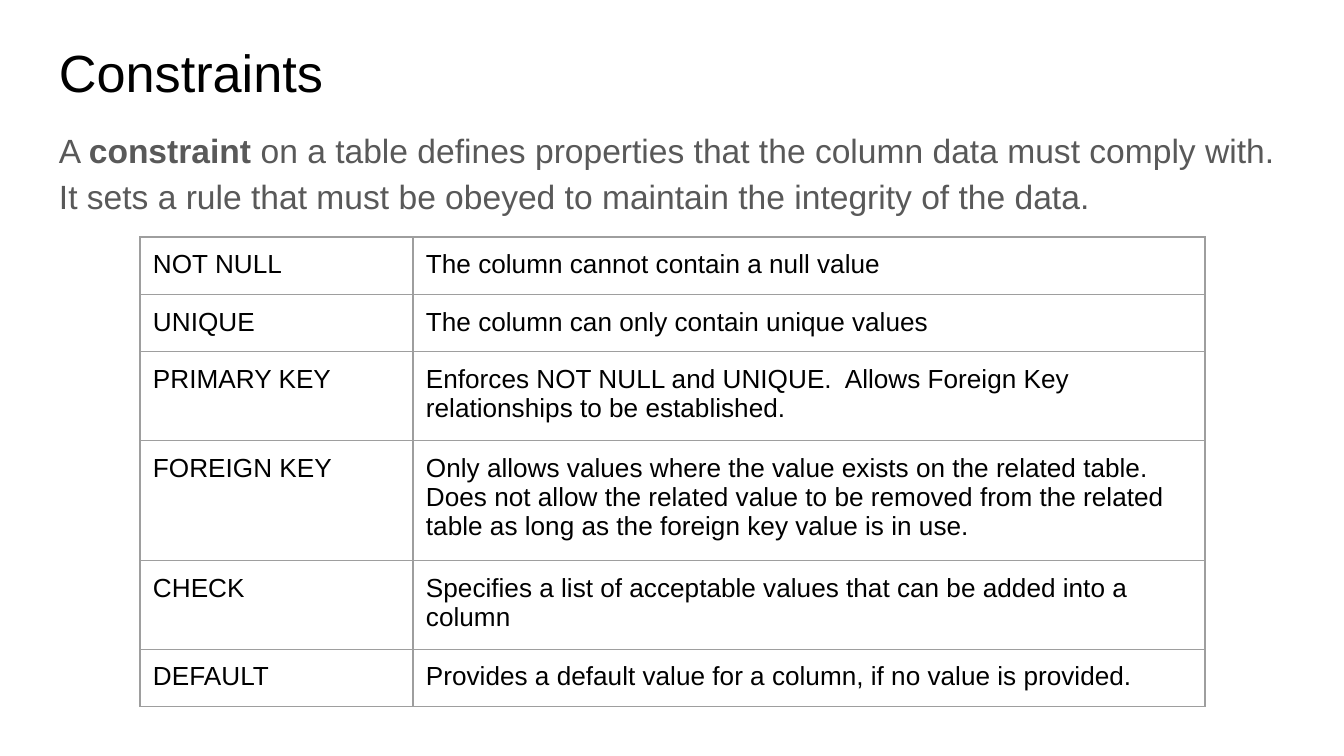
from lxml import etree
from pptx import Presentation
from pptx.dml.color import RGBColor
from pptx.oxml.ns import qn
from pptx.util import Emu, Pt

PX = 914400 / 134.4
PAD = 13
FONT = "Arial"
BLACK = "000000"
GREY = "595959"
RULE = "9E9E9E"
COLS = (273, 792)
ROW = 56
ROWS = [
    ("NOT NULL", "The column cannot contain a null value"),
    ("UNIQUE", "The column can only contain unique values"),
    ("PRIMARY KEY", "Enforces NOT NULL and UNIQUE.  Allows Foreign Key "
     "relationships to be established."),
    ("FOREIGN KEY", "Only allows values where the value exists on the related "
     "table.  Does not allow the related value to be removed from the related "
     "table as long as the foreign key value is in use."),
    ("CHECK", "Specifies a list of acceptable values that can be added into a column"),
    ("DEFAULT", "Provides a default value for a column, if no value is provided."),
]


def px(n):
    return Emu(round(n * PX))


def color(code):
    return RGBColor.from_string(code)


def style(run, size, code, bold=False):
    run.font.name = FONT
    run.font.size = Pt(size)
    run.font.bold = bold
    run.font.color.rgb = color(code)


def inset(item):
    item.margin_left = item.margin_right = px(PAD)
    item.margin_top = item.margin_bottom = px(PAD)


def add_text(slide, box, parts, size, code, space=1.0):
    frame = slide.shapes.add_textbox(*map(px, box)).text_frame
    frame.word_wrap = True
    inset(frame)
    para = frame.paragraphs[0]
    para.line_spacing = space
    for text, bold in parts:
        run = para.add_run()
        run.text = text
        style(run, size, code, bold)


def add_border(cell):
    props = cell._tc.get_or_add_tcPr()
    for side in ("lnL", "lnR", "lnT", "lnB"):
        line = etree.SubElement(props, qn(f"a:{side}"), w=str(Pt(0.75)))
        fill = etree.SubElement(line, qn("a:solidFill"))
        etree.SubElement(fill, qn("a:srgbClr"), val=RULE)


def fill_cell(cell, text):
    inset(cell)
    add_border(cell)
    cell.fill.background()
    cell.text_frame.text = text
    style(cell.text_frame.paragraphs[0].runs[0], 14, BLACK)


def add_grid(slide, left, top):
    size = map(px, (left, top, sum(COLS), ROW * len(ROWS)))
    table = slide.shapes.add_table(len(ROWS), len(COLS), *size).table
    table.first_row = False
    table.horz_banding = False
    for col, width in zip(table.columns, COLS):
        col.width = px(width)
    for row, texts in zip(table.rows, ROWS):
        row.height = px(ROW)
        for cell, text in zip(row.cells, texts):
            fill_cell(cell, text)


def main():
    deck = Presentation()
    deck.slide_width, deck.slide_height = px(1344), px(756)
    slide = deck.slides.add_slide(deck.slide_layouts[6])
    add_text(slide, (46, 27, 1253, 84), [("Constraints", False)], 28, BLACK)
    intro = [
        ("A ", False),
        ("constraint", True),
        (" on a table defines properties that the column data must comply with.  "
         "It sets a rule that must be obeyed to maintain the integrity of the data.", False),
    ]
    add_text(slide, (46, 111, 1253, 111), intro, 18, GREY, 1.15)
    add_grid(slide, 140, 237)
    deck.save("out.pptx")


if __name__ == "__main__":
    main()
